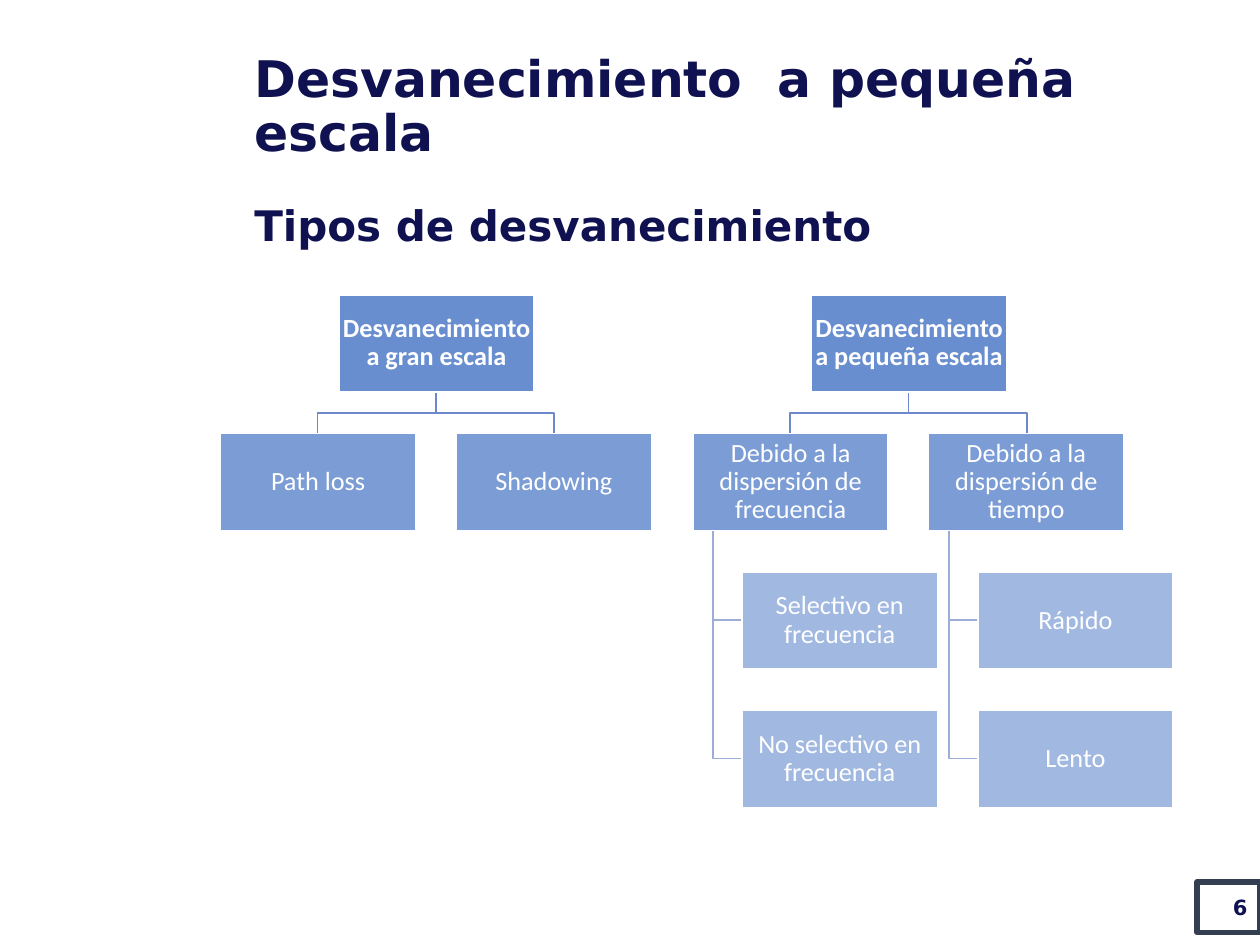
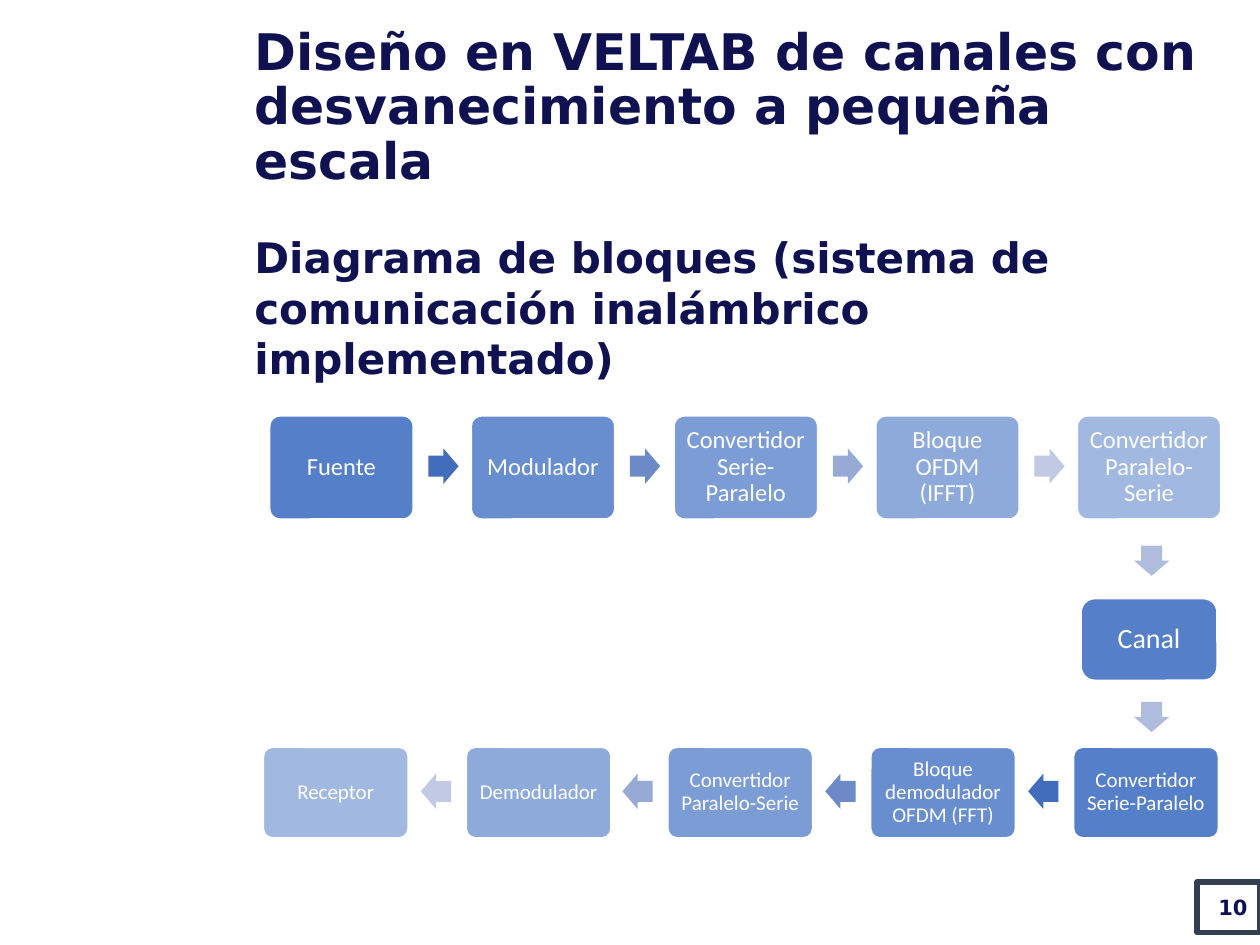
"""Builds two slides on small-scale fading: a tree of types and a block diagram."""
from lxml.etree import SubElement
from pptx import Presentation
from pptx.dml.color import RGBColor
from pptx.enum.shapes import MSO_SHAPE
from pptx.enum.text import MSO_ANCHOR, PP_ALIGN
from pptx.oxml.ns import qn
from pptx.util import Pt

PX = 9144
NAVY, BLUE, WHITE, SLATE = "0F1151", "4472C4", "FFFFFF", "333F50"
TRUNK_LINE, BRANCH_LINE = "6D89CB", "9EADD8"
ARROW_SHADES = ["416DBB", "6C8AC8", "97A9D5", "C1C9E4"]
DOWN_ARROW = "B0BCDE"
HEAD_FONT, BOX_FONT = "DejaVu Sans", "Calibri"

TREE_BOX_W, TREE_BOX_H = 155, 77
TREE_LEFT, TREE_TOP = 175, 234
COLUMN_STEP, ROW_STEP = 187.4, 110
LEAF_INDENT, STEM_INDENT = 39, 16
TREE = [
    ("Desvanecimiento a gran escala", [("Path loss", []), ("Shadowing", [])]),
    ("Desvanecimiento a pequeña escala", [
        ("Debido a la dispersión de frecuencia",
         ["Selectivo en frecuencia", "No selectivo en frecuencia"]),
        ("Debido a la dispersión de tiempo", ["Rápido", "Lento"]),
    ]),
]
TRANSMITTER = ["Fuente", "Modulador", "Convertidor Serie-Paralelo",
               "Bloque OFDM (IFFT)", "Convertidor Paralelo-Serie"]
RECEIVER = ["Convertidor Serie-Paralelo", "Bloque demodulador OFDM (FFT)",
            "Convertidor Paralelo-Serie", "Demodulador", "Receptor"]


def rgb(hex_colour):
    return RGBColor.from_string(hex_colour)


def emu(*lengths):
    return [round(n) * PX for n in lengths]


def write(sp, text, size, font, colour, bold=False, align=PP_ALIGN.LEFT,
          spacing=None, inset=None):
    tf = sp.text_frame
    tf.word_wrap = True
    tf.vertical_anchor = MSO_ANCHOR.MIDDLE
    if inset is not None:
        tf.margin_left = tf.margin_right = inset * PX
        tf.margin_top = tf.margin_bottom = inset * PX
    p = tf.paragraphs[0]
    p.text = text
    p.alignment = align
    p.line_spacing = spacing
    r = p.runs[0]
    r.font.size = Pt(size)
    r.font.name = font
    r.font.bold = bold
    r.font.color.rgb = rgb(colour)


def add_heading(s, text, top, size, spacing=None):
    sp = s.shapes.add_textbox(*emu(192, top, 800, 78))
    write(sp, text, size, HEAD_FONT, NAVY, bold=True, spacing=spacing)


def add_filled(s, kind, box, fill, opacity=100, line=None, line_width=1):
    sp = s.shapes.add_shape(kind, *emu(*box))
    sp.shadow.inherit = False
    sp.fill.solid()
    sp.fill.fore_color.rgb = rgb(fill)
    if opacity < 100:
        colour = sp.element.spPr.find(qn("a:solidFill")).find(qn("a:srgbClr"))
        SubElement(colour, qn("a:alpha")).set("val", str(opacity * 1000))
    if line:
        sp.line.color.rgb = rgb(line)
        sp.line.width = Pt(line_width)
    else:
        sp.line.fill.background()
    return sp


def add_block(s, kind, box, text, opacity, size, inset, bold=False):
    sp = add_filled(s, kind, box, BLUE, opacity, WHITE)
    write(sp, text, size, BOX_FONT, WHITE, bold, PP_ALIGN.CENTER, 0.9, inset)
    return sp


def add_arrow(s, left, top, colour, rotation=0):
    sp = add_filled(s, MSO_SHAPE.RIGHT_ARROW, (left, top, 24, 28), colour)
    sp.adjustments[0] = 0.6
    sp.rotation = rotation


def add_link(s, points, colour):
    start, *rest = [tuple(round(n) for n in point) for point in points]
    builder = s.shapes.build_freeform(*start, scale=PX)
    builder.add_line_segments(rest, close=False)
    sp = builder.convert_to_shape()
    sp.shadow.inherit = False
    sp.fill.background()
    sp.line.color.rgb = rgb(colour)
    sp.line.width = Pt(1)


def add_tree_box(s, left, row, text, opacity, bold=False):
    box = (left, TREE_TOP + row * ROW_STEP, TREE_BOX_W, TREE_BOX_H)
    add_block(s, MSO_SHAPE.RECTANGLE, box, text, opacity, 15, 1, bold)


def add_leaves(s, left, leaves):
    stem = left + STEM_INDENT
    stem_top = TREE_TOP + ROW_STEP + TREE_BOX_H
    for row, leaf in enumerate(leaves, 2):
        middle = TREE_TOP + row * ROW_STEP + TREE_BOX_H / 2
        add_link(s, [(stem, stem_top), (stem, middle),
                     (left + LEAF_INDENT, middle)], BRANCH_LINE)
        add_tree_box(s, left + LEAF_INDENT, row, leaf, 50)


def add_tree(s, first_column, root, children):
    root_left = TREE_LEFT + (first_column + 0.5) * COLUMN_STEP
    root_x = root_left + TREE_BOX_W / 2
    root_bottom, child_top = TREE_TOP + TREE_BOX_H, TREE_TOP + ROW_STEP
    elbow = (root_bottom + child_top) / 2
    for column, (child, leaves) in enumerate(children, first_column):
        left = TREE_LEFT + column * COLUMN_STEP
        x = left + TREE_BOX_W / 2
        add_link(s, [(root_x, root_bottom), (root_x, elbow), (x, elbow),
                     (x, child_top)], TRUNK_LINE)
        add_leaves(s, left, leaves)
        add_tree_box(s, left, 1, child, 70)
    add_tree_box(s, root_left, 0, root, 80, bold=True)


def add_chain(s, names, left, top, step, size, block, inset, arrow_offset, rotation):
    width, height = block
    for i, name in enumerate(names):
        x = left + i * step
        sp = add_block(s, MSO_SHAPE.ROUNDED_RECTANGLE, (x, top, width, height),
                       name, 90 - 10 * i, size, inset)
        sp.adjustments[0] = 0.1
        if i < len(ARROW_SHADES):
            add_arrow(s, x + arrow_offset, top + (height - 28) // 2 - 1,
                      ARROW_SHADES[i], rotation)


def add_slide(prs, title, subtitle, subtitle_top, number):
    s = prs.slides.add_slide(prs.slide_layouts[6])
    add_heading(s, title, 47, 28.8, 0.9)
    sp = add_filled(s, MSO_SHAPE.RECTANGLE, (950, 700, 50, 40), WHITE,
                    line=SLATE, line_width=3)
    write(sp, number, 12, HEAD_FONT, NAVY, bold=True, align=PP_ALIGN.RIGHT)
    add_heading(s, subtitle, subtitle_top, 24)
    return s


def build_types(prs):
    s = add_slide(prs, "Desvanecimiento  a pequeña escala",
                  "Tipos de desvanecimiento", 139, "6")
    for i, (root, children) in enumerate(TREE):
        add_tree(s, 2 * i, root, children)


def build_diagram(prs):
    s = add_slide(
        prs, "Diseño en VELTAB de canales con desvanecimiento a pequeña escala",
        "Diagrama de bloques (sistema de comunicación inalámbrico implementado)",
        205, "10")
    add_chain(s, TRANSMITTER, 214, 330, 160.3, 14, (114, 82), 6, 126, 0)
    add_chain(s, RECEIVER, 852, 593, -160.8, 12, (115, 72), 5, -36, 180)
    add_block(s, MSO_SHAPE.ROUNDED_RECTANGLE, (858, 475, 108, 65), "Canal", 90, 16, 7)
    for top in (431, 555):
        add_arrow(s, 902, top, DOWN_ARROW, 90)


def main():
    prs = Presentation()
    prs.slide_width, prs.slide_height = emu(1000, 750)
    build_types(prs)
    build_diagram(prs)
    prs.save("out.pptx")


if __name__ == "__main__":
    main()
